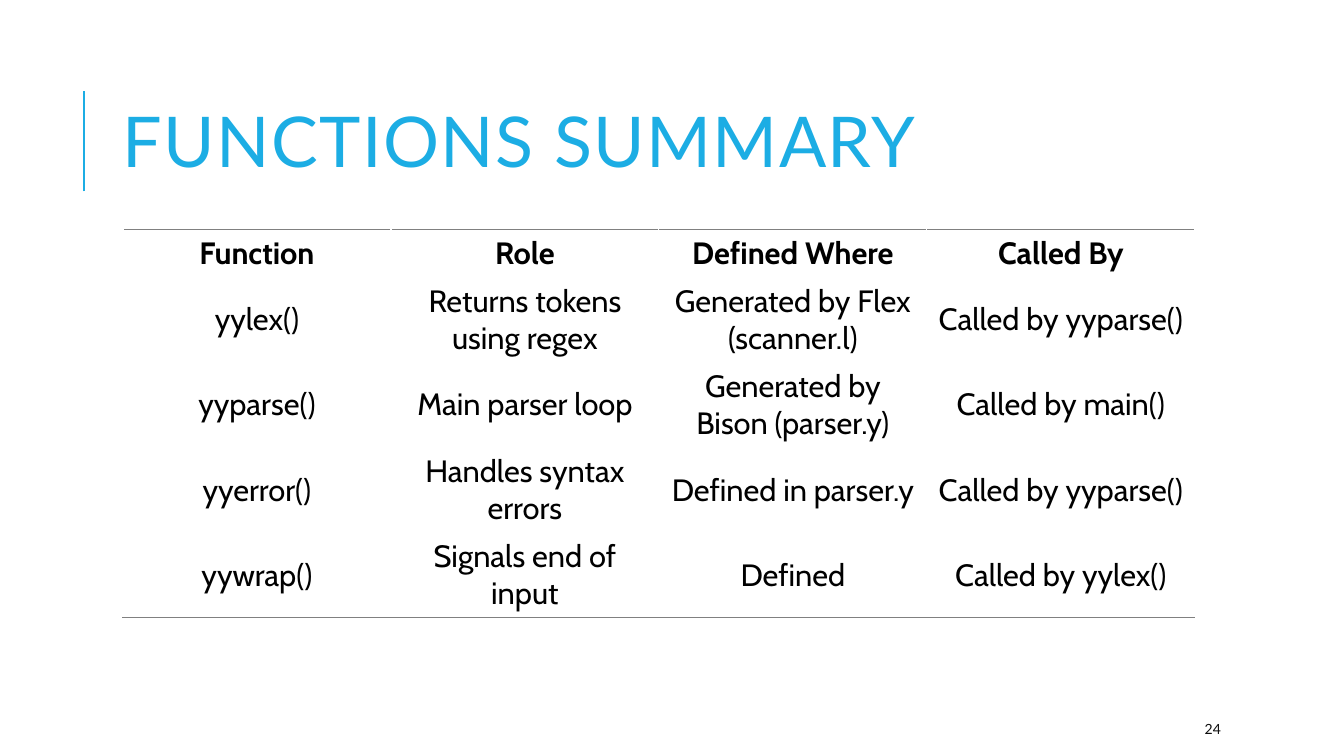
"""Build the functions summary slide."""
import pptx
import pptx.dml.color
import pptx.enum.shapes
import pptx.enum.text
import pptx.oxml
import pptx.oxml.ns
import pptx.util

ALIGN = pptx.enum.text.PP_ALIGN
MIDDLE = pptx.enum.text.MSO_ANCHOR.MIDDLE
NS = pptx.oxml.ns.nsdecls("a")


def rgb(value):
    """Turn a hex string into a colour."""
    return pptx.dml.color.RGBColor.from_string(value)


class Deck:
    """Hold the style and the current slide; lengths are percent of the slide."""

    ACCENT, RULE, INK, FOOT = "1CADE4", "808080", "000000", "0D0D0D"
    HEADING, BODY = "Lato", "Cabin"

    def __init__(self, width, height):
        """Start a presentation with one title-only slide."""
        self.prs = pptx.Presentation()
        self.prs.slide_width = pptx.util.Inches(width)
        self.prs.slide_height = pptx.util.Inches(height)
        self.s = self.prs.slides.add_slide(self.prs.slide_layouts[5])

    def x(self, share):
        """Return a share of the slide width."""
        return round(self.prs.slide_width * share / 100)

    def y(self, share):
        """Return a share of the slide height."""
        return round(self.prs.slide_height * share / 100)

    def box(self, x, y, w, h):
        """Return left, top, width and height."""
        return self.x(x), self.y(y), self.x(w), self.y(h)

    def put(self, tf, text, font, size, color, align=ALIGN.LEFT, bold=False):
        """Add one formatted run and return its paragraph."""
        p = tf.paragraphs[0]
        p.alignment = align
        r = p.add_run()
        r.text = text
        fmt = {"name": font, "size": pptx.util.Pt(size), "bold": bold}
        for key, value in fmt.items():
            setattr(r.font, key, value)
        r.font.color.rgb = rgb(color)
        return p

    def frame(self, tf):
        """Make a text frame wrap and centre vertically."""
        fmt = {"word_wrap": True, "vertical_anchor": MIDDLE,
               "auto_size": pptx.enum.text.MSO_AUTO_SIZE.NONE}
        for key, value in fmt.items():
            setattr(tf, key, value)
        return tf

    def title(self, text, *area):
        """Place and format the title placeholder."""
        sp = self.s.shapes.title
        for key, value in zip(("left", "top", "width", "height"), self.box(*area)):
            setattr(sp, key, value)
        p = self.put(self.frame(sp.text_frame), text, self.HEADING, 50, self.ACCENT)
        p.line_spacing = 0.8
        p.runs[0]._r.get_or_add_rPr().set("spc", "100")

    def text(self, text, *area):
        """Add a small text box."""
        sp = self.s.shapes.add_textbox(*self.box(*area))
        self.put(self.frame(sp.text_frame), text, self.HEADING, 10, self.FOOT)

    def rule(self, x, top, bottom):
        """Add a vertical accent line."""
        sp = self.s.shapes.add_connector(
            pptx.enum.shapes.MSO_CONNECTOR.STRAIGHT,
            self.x(x), self.y(bottom), self.x(x), self.y(top))
        sp.line.color.rgb = rgb(self.ACCENT)
        sp.line.width = pptx.util.Pt(1.5)
        sp._element.spPr.append(pptx.oxml.parse_xml(f"<a:effectLst {NS}/>"))

    def border(self, cell, side):
        """Draw one horizontal edge of a cell."""
        edge = pptx.oxml.parse_xml(
            f'<a:{side} {NS} w="9525"><a:solidFill><a:srgbClr val="{self.RULE}"/>'
            f"</a:solidFill></a:{side}>")
        cell._tc.get_or_add_tcPr().insert(0, edge)

    def table(self, rows, x, y, w, head, body):
        """Add an unfilled table ruled at its top and bottom."""
        heights = [head] + [body] * (len(rows) - 1)
        table = self.s.shapes.add_table(
            len(rows), len(rows[0]), *self.box(x, y, w, sum(heights))).table
        fmt = {"first_row": False, "horz_banding": False}
        for key, value in fmt.items():
            setattr(table, key, value)
        for i, (row, height) in enumerate(zip(rows, heights)):
            table.rows[i].height = self.y(height)
            for j, text in enumerate(row):
                cell = table.cell(i, j)
                cell.fill.background()
                cell.vertical_anchor = MIDDLE
                self.put(cell.text_frame, text, self.BODY, 22, self.INK,
                         ALIGN.CENTER, i == 0)
                if i == 0:
                    self.border(cell, "lnT")
                if i == len(rows) - 1:
                    self.border(cell, "lnB")


FUNCTIONS = [
    ("Function", "Role", "Defined Where", "Called By"),
    ("yylex()", "Returns tokens using regex", "Generated by Flex (scanner.l)",
     "Called by yyparse()"),
    ("yyparse()", "Main parser loop", "Generated by Bison (parser.y)",
     "Called by main()"),
    ("yyerror()", "Handles syntax errors", "Defined in parser.y",
     "Called by yyparse()"),
    ("yywrap()", "Signals end of input", "Defined", "Called by yylex()"),
]


def main():
    """Build and save the slide."""
    deck = Deck(13.33, 7.5)
    deck.rule(6.25, 12, 25.33)
    deck.title("FUNCTIONS SUMMARY", 8.4, 8.53, 79.75, 21.87)
    deck.table(FUNCTIONS, 9.15, 30.4, 79.75, 6.27, 11.25)
    deck.text("24", 88.9, 94.4, 7.95, 4)
    deck.prs.save("out.pptx")


if __name__ == "__main__":
    main()
